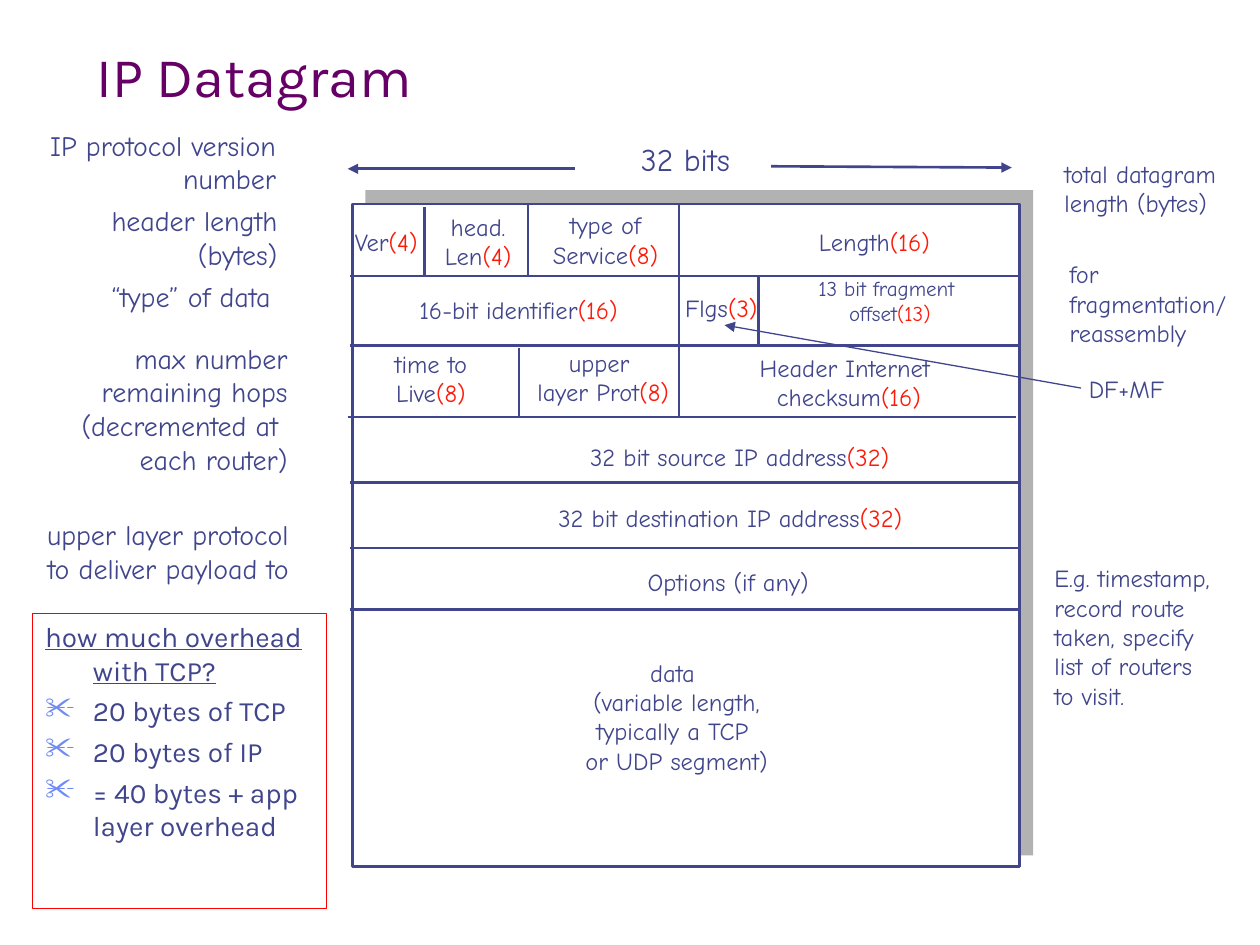
import pptx
import pptx.dml.color
import pptx.enum.shapes
import pptx.enum.text
import pptx.oxml.ns
import pptx.util
from lxml import etree
from pptx.util import Inches

NAVY, RED, BODY_FONT = "40458C", "FD1A09", "Comic Neue"
ALIGN = pptx.enum.text.PP_ALIGN
ANCHOR = pptx.enum.text.MSO_ANCHOR
RECTANGLE = pptx.enum.shapes.MSO_SHAPE.RECTANGLE
STRAIGHT = pptx.enum.shapes.MSO_CONNECTOR.STRAIGHT
qn = pptx.oxml.ns.qn


def color(value):
    """Turn a hex string into a colour."""
    return pptx.dml.color.RGBColor.from_string(value)


def add_text(place, text, size=14, align=ALIGN.CENTER, wrap=False):
    """Add a label, one paragraph a line; the part after | is red."""
    box = slide.shapes.add_textbox(*map(Inches, place))
    frame = box.text_frame
    frame.word_wrap = wrap
    frame.auto_size = pptx.enum.text.MSO_AUTO_SIZE.SHAPE_TO_FIT_TEXT
    for index, line in enumerate(text.split("\n")):
        paragraph = frame.paragraphs[0] if index == 0 else frame.add_paragraph()
        paragraph.alignment = align
        paragraph.font.size = pptx.util.Pt(size)
        paragraph.font.name = BODY_FONT
        for part, part_color in zip(line.split("|"), (NAVY, RED)):
            run = paragraph.add_run()
            run.text = part
            run.font.color.rgb = color(part_color)


presentation = pptx.Presentation()
presentation.slide_width, presentation.slide_height = Inches(10), Inches(7.5)
slide = presentation.slides.add_slide(presentation.slide_layouts[6])

# Backing, datagram frame and overhead box: place, fill, line, line width
rectangles = [
    ((2.9, 1.51, 5.3, 5.28), "B2B2B2", None, 0),
    ((2.8, 1.62, 5.29, 5.26), "FFFFFF", NAVY, 1.5),
    ((0.26, 4.87, 2.33, 2.34), None, "FF0000", 0.74),
]
for place, fill, line, width in rectangles:
    shape = slide.shapes.add_shape(RECTANGLE, *map(Inches, place))
    shape.shadow.inherit = False
    if fill:
        shape.fill.solid()
        shape.fill.fore_color.rgb = color(fill)
    else:
        shape.fill.background()
    if line:
        shape.line.color.rgb = color(line)
        shape.line.width = pptx.util.Pt(width)
    else:
        shape.line.fill.background()
overhead_box = shape

# Field labels inside the datagram
fields = [
    ((2.69, 1.75, 0.75, 0.34), "Ver|(4)", False),
    ((3.41, 1.63, 0.77, 0.57), "head.\nLen|(4)", False),
    ((4.26, 1.62, 1.09, 0.57), "type of\nService|(8)", False),
    ((6.22, 1.75, 1.44, 0.34), "Length|(16)", True),
    ((2.67, 2.29, 2.89, 0.34), "16-bit identifier|(16)", True),
    ((5.29, 2.28, 0.87, 0.34), "Flgs|(3)", True),
    ((3.01, 2.72, 0.82, 0.57), "time to\nLive|(8)", False),
    ((4.08, 2.71, 1.35, 0.57), "upper\n layer Prot|(8)", False),
    ((5.83, 2.75, 1.75, 0.57), "Header Internet\n checksum|(16)", True),
    ((4.15, 3.46, 3.44, 0.34), "32 bit source IP address|(32)", True),
    ((4, 3.94, 3.59, 0.34), "32 bit destination IP address|(32)", True),
    ((4.56, 4.45, 2.44, 0.34), "Options (if any)", True),
    ((4, 5.17, 2.74, 1.04),
     "data \n(variable length,\ntypically a TCP \nor UDP segment)", True),
    ((8.5, 2.92, 0.88, 0.34), "DF+MF", True),
]
for place, text, wrap in fields:
    add_text(place, text, wrap=wrap)
add_text((6.08, 2.14, 1.91, 0.5), "13 bit fragment\n offset|(13)", 12, wrap=True)
add_text((4.94, 1.06, 1, 0.4), "32 bits", 18)

# Explanations left and right of the datagram
left_notes = [
    ((0.23, 0.97, 2.06, 0.64), "IP protocol version\nnumber"),
    ((0.69, 1.57, 1.61, 0.64), "header length\n (bytes)"),
    ((0.73, 2.17, 1.59, 0.37), "“type” of data "),
    ((0.49, 2.66, 1.89, 1.17),
     "max number\nremaining hops\n(decremented at \neach router)"),
    ((0.21, 4.06, 2.18, 0.64), "upper layer protocol\nto deliver payload to"),
]
for place, text in left_notes:
    add_text(place, text, 16, ALIGN.RIGHT)
right_notes = [
    ((8.35, 1.21, 1.47, 0.57), "total datagram\nlength (bytes)"),
    ((8.39, 2.01, 1.5, 0.8), "for\nfragmentation/\nreassembly"),
    ((8.27, 4.42, 1.49, 1.27),
     "E.g. timestamp,\nrecord route\ntaken, specify\nlist of routers \nto visit."),
]
for place, text in right_notes:
    add_text(place, text, align=ALIGN.LEFT)

# Row and column rules, then arrows: x1, y1, x2, y2, width, arrowhead
lines = [(2.78, y, 8.08, y, 1.5, False) for y in (2.19, 2.74, 3.83, 4.35, 4.84)]
lines.append((2.76, 3.31, 8.06, 3.31, 1.5, False))
dividers = [(3.37, 1.64, 2.19), (4.19, 1.63, 2.18), (5.39, 1.63, 2.19),
            (5.39, 2.2, 2.75), (6.02, 2.19, 2.74),
            (4.12, 2.76, 3.31), (5.39, 2.75, 3.3)]
lines += [(x, bottom, x, top, 1.5, False) for x, top, bottom in dividers]
lines += [
    (6.12, 1.32, 8.03, 1.33, 1.5, True),
    (4.56, 1.34, 2.76, 1.34, 1.5, True),
    (8.58, 3.08, 5.75, 2.58, 0.74, True),
]
for *ends, width, arrow in lines:
    connector = slide.shapes.add_connector(STRAIGHT, *map(Inches, ends))
    connector.line.color.rgb = color(NAVY)
    connector.line.width = pptx.util.Pt(width)
    properties = connector._element.spPr
    if arrow:
        outline = properties.find(qn("a:ln"))
        etree.SubElement(outline, qn("a:tailEnd"), type="triangle")
    etree.SubElement(properties, qn("a:effectLst"))

# Title
title = slide.shapes.add_textbox(*map(Inches, (0.67, 0.33, 8.5, 0.58)))
title.text_frame.word_wrap = True
title.text_frame.vertical_anchor = ANCHOR.BOTTOM
paragraph = title.text_frame.paragraphs[0]
paragraph.text = "IP Datagram"
paragraph.font.size = pptx.util.Pt(32)
paragraph.font.name = "Karla"
paragraph.font.color.rgb = color("660066")

# Overhead question with scissor bullets
frame = overhead_box.text_frame
frame.word_wrap = True
frame.vertical_anchor = ANCHOR.TOP
points = ["how much overhead with TCP?", "20 bytes of TCP", "20 bytes of IP",
          "= 40 bytes + app layer overhead"]
for index, point in enumerate(points):
    paragraph = frame.paragraphs[0] if index == 0 else frame.add_paragraph()
    paragraph.text = point
    paragraph.alignment = ALIGN.LEFT
    paragraph.space_before = pptx.util.Pt(4)
    paragraph.font.size = pptx.util.Pt(16)
    paragraph.font.name = "Karla"
    paragraph.font.color.rgb = color(NAVY)
    paragraph.font.underline = index == 0
    properties = paragraph._p.get_or_add_pPr()
    properties.set("marL", str(Inches(0.38)))
    properties.set("indent", str(Inches(-0.38)))
    if index:
        bullet = [etree.Element(qn("a:buClr")),
                  etree.Element(qn("a:buSzPct"), val="110000"),
                  etree.Element(qn("a:buChar"), char="✂")]
        etree.SubElement(bullet[0], qn("a:srgbClr"), val="6F89F7")
        for element in bullet:
            properties.find(qn("a:defRPr")).addprevious(element)

presentation.save("out.pptx")
